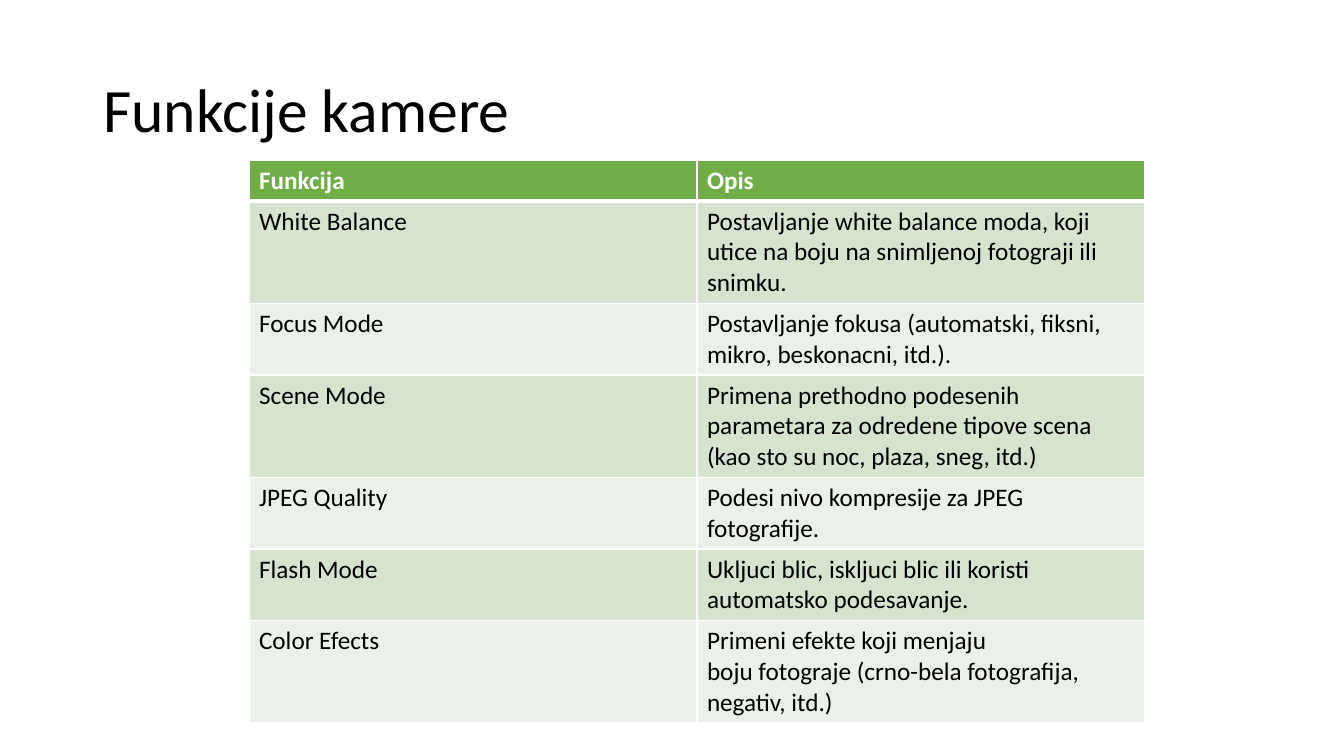
"""Build the slide on camera functions: a title above a two-column table."""
from dataclasses import dataclass

from lxml.etree import SubElement
from pptx import Presentation
from pptx.dml.color import RGBColor
from pptx.enum.text import MSO_ANCHOR, PP_ALIGN
from pptx.oxml.ns import qn
from pptx.util import Emu, Pt

TITLE = "Funkcije kamere"
HEADER = ("Funkcija", ["Opis"])
FUNCTIONS = [
    ("White Balance", ["Postavljanje white balance moda, koji utice na boju na snimljenoj fotograji ili snimku."]),
    ("Focus Mode", ["Postavljanje fokusa (automatski, fiksni, mikro, beskonacni, itd.)."]),
    ("Scene Mode", ["Primena prethodno podesenih parametara za odredene tipove scena (kao sto su noc, plaza, sneg, itd.)"]),
    ("JPEG Quality", ["Podesi nivo kompresije za JPEG fotografije."]),
    ("Flash Mode", ["Ukljuci blic, iskljuci blic ili koristi automatsko podesavanje."]),
    ("Color Efects", ["Primeni efekte koji menjaju", "boju fotograje (crno-bela fotografija, negativ, itd.)"]),
]

SLIDE_SIZE = (1344, 756)
TITLE_BOX = (93, 40, 1159, 146)
TABLE_LEFT, TABLE_TOP = 249, 160
COLUMN_WIDTH, ROW_HEIGHT = 448, 41


@dataclass(frozen=True)
class Theme:
    """Font, colours and sizes of the slide."""
    font: str = "Calibri"
    title_size: int = 44
    body_size: int = 18
    text: str = "000000"
    border: str = "FFFFFF"
    header_text: str = "FFFFFF"
    header_fill: str = "70AD47"
    bands: tuple = ("D5E3CF", "EBF1E9")
    thin: int = 1
    thick: int = 3


THEME = Theme()


def px(length):
    """Turn px into EMU."""
    return Emu(round(length * 914400 / 100.8))


def add_run(paragraph, text, size, color, bold=False):
    """Add one formatted run."""
    run = paragraph.add_run()
    run.text = text
    run.font.name = THEME.font
    run.font.size = Pt(size)
    run.font.bold = bold
    run.font.color.rgb = RGBColor.from_string(color)


def add_borders(cell, top, bottom):
    """Draw the four borders of a cell, widths in points."""
    properties = cell._tc.get_or_add_tcPr()
    widths = {"L": THEME.thin, "R": THEME.thin, "T": top, "B": bottom}
    for side, width in widths.items():
        line = SubElement(properties, qn(f"a:ln{side}"), w=str(Pt(width)))
        SubElement(SubElement(line, qn("a:solidFill")), qn("a:srgbClr"), val=THEME.border)


def fill_cell(cell, lines, row):
    """Write the lines of a cell and give it borders and a fill."""
    is_header = row == 0
    color = THEME.header_text if is_header else THEME.text
    fill = THEME.header_fill if is_header else THEME.bands[(row - 1) % 2]
    add_borders(cell,
                top=THEME.thick if row == 1 else THEME.thin,
                bottom=THEME.thick if is_header else THEME.thin)
    cell.fill.solid()
    cell.fill.fore_color.rgb = RGBColor.from_string(fill)
    for index, line in enumerate(lines):
        paragraph = cell.text_frame.add_paragraph() if index else cell.text_frame.paragraphs[0]
        add_run(paragraph, line, THEME.body_size, color, is_header)


def add_title(slide):
    """Place and format the title."""
    title = slide.shapes.title
    title.left, title.top, title.width, title.height = map(px, TITLE_BOX)
    title.text_frame.vertical_anchor = MSO_ANCHOR.MIDDLE
    title.text_frame.word_wrap = True
    paragraph = title.text_frame.paragraphs[0]
    paragraph.alignment = PP_ALIGN.LEFT
    paragraph.line_spacing = 0.9
    add_run(paragraph, TITLE, THEME.title_size, THEME.text)


def add_function_table(slide):
    """Add the table of functions and their descriptions."""
    entries = [HEADER, *FUNCTIONS]
    table = slide.shapes.add_table(
        len(entries), len(HEADER), px(TABLE_LEFT), px(TABLE_TOP),
        px(COLUMN_WIDTH * len(HEADER)), px(ROW_HEIGHT * len(entries))).table
    for row, (function, description) in enumerate(entries):
        fill_cell(table.cell(row, 0), [function], row)
        fill_cell(table.cell(row, 1), description, row)


def main():
    """Build and save the presentation."""
    presentation = Presentation()
    presentation.slide_width, presentation.slide_height = map(px, SLIDE_SIZE)
    slide = presentation.slides.add_slide(presentation.slide_layouts[5])
    add_title(slide)
    add_function_table(slide)
    presentation.save("out.pptx")


if __name__ == "__main__":
    main()
